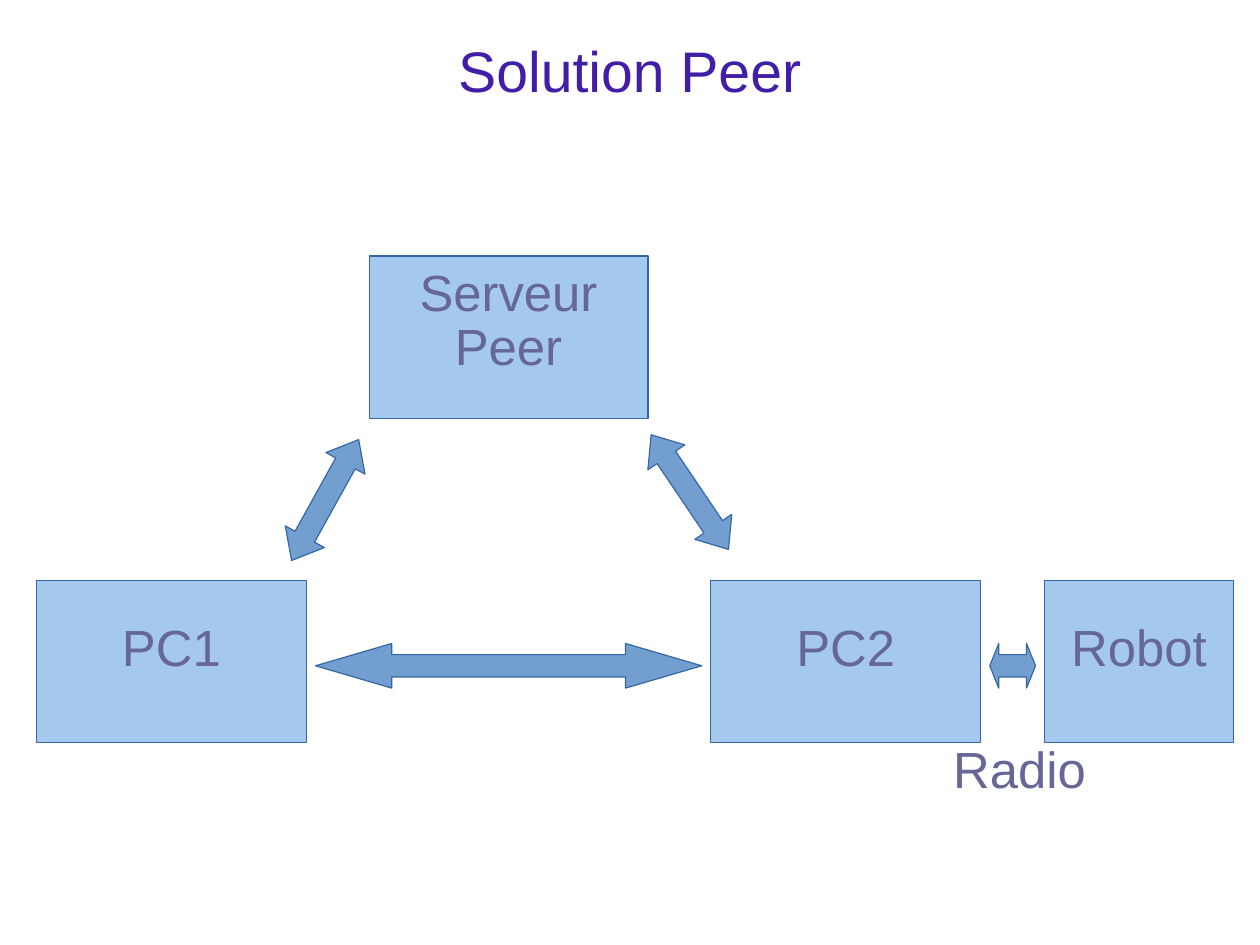
from pptx import Presentation
from pptx.dml.color import RGBColor
from pptx.enum.shapes import MSO_SHAPE
from pptx.enum.text import MSO_ANCHOR, MSO_AUTO_SIZE, PP_ALIGN
from pptx.util import Cm, Inches, Pt

TITLE_COLOR = RGBColor(0x42, 0x1E, 0xA8)
LABEL_COLOR = RGBColor(0x66, 0x66, 0x99)
NODE_FILL = RGBColor(0xA4, 0xC8, 0xEE)
ARROW_FILL = RGBColor(0x72, 0x9F, 0xCF)
OUTLINE = RGBColor(0x34, 0x65, 0xA4)
RECTANGLE = MSO_SHAPE.RECTANGLE
DOUBLE_ARROW = MSO_SHAPE.LEFT_RIGHT_ARROW
CENTER, LEFT = PP_ALIGN.CENTER, PP_ALIGN.LEFT
MIDDLE, TOP = MSO_ANCHOR.MIDDLE, MSO_ANCHOR.TOP
NO_AUTOFIT = MSO_AUTO_SIZE.NONE
TITLE_ONLY = 5

NODE_HEIGHT = 1.42
ARROW_HEIGHT = 0.39
ARROW_GAP = 0.08


def write_lines(frame, lines, size, color, align=CENTER, anchor=MIDDLE):
    """Fill a text frame with one paragraph per line, the first one tight."""
    frame.auto_size = NO_AUTOFIT
    frame.vertical_anchor = anchor
    for index, line in enumerate(lines):
        para = frame.paragraphs[0] if index == 0 else frame.add_paragraph()
        para.alignment = align
        para.line_spacing = 1.0 if index else 0.25
        span = para.add_run()
        span.text = line
        span.font.name = "Arial"
        span.font.size = Pt(size)
        span.font.color.rgb = color


def add_outlined(page, kind, box, fill):
    """Add a flat preset shape with the common outline."""
    shape = page.shapes.add_shape(kind, *map(Inches, box))
    shape.shadow.inherit = False
    shape.fill.solid()
    shape.fill.fore_color.rgb = fill
    shape.line.color.rgb = OUTLINE
    shape.line.width = Pt(0.75)
    return shape


def add_node(page, box, lines):
    """Add a labelled machine of the network."""
    frame = add_outlined(page, RECTANGLE, box, NODE_FILL).text_frame
    frame.word_wrap = False
    write_lines(frame, lines, 32, LABEL_COLOR)


def add_arrow(page, left, top, width, head, rotation=0):
    """Add a double arrow whose head length is relative to its height."""
    box = (left, top, width, ARROW_HEIGHT)
    arrow = add_outlined(page, DOUBLE_ARROW, box, ARROW_FILL)
    arrow.adjustments[0] = 0.5
    arrow.adjustments[1] = head
    arrow.rotation = rotation


def add_title(page, box):
    """Place the slide title in the given box."""
    title = page.shapes.title
    title.left, title.top, title.width, title.height = map(Inches, box)
    frame = title.text_frame
    frame.margin_left = frame.margin_right = 0
    frame.margin_top = frame.margin_bottom = 0
    frame.word_wrap = True
    write_lines(frame, ["Solution Peer"], 36, TITLE_COLOR)


def add_machines(page, box):
    """Draw the row of machines, the arrows between them and the link label."""
    left, top = box
    machines = [("PC1", 0, 2.36), ("PC2", 5.9, 2.36), ("Robot", 8.82, 1.65)]
    for name, offset, node_width in reversed(machines):
        add_node(page, (left + offset, top, node_width, NODE_HEIGHT), [name])

    for start, end, head in zip(machines, machines[1:], (1.71, 0.2)):
        arrow_left = start[1] + start[2] + ARROW_GAP
        arrow_width = end[1] - ARROW_GAP - arrow_left
        add_arrow(page, left + arrow_left, top + 0.55, arrow_width, head)

    label_box = (left + 7.92, top + 1.66, 1.29, 0.23)
    label = page.shapes.add_textbox(*map(Inches, label_box))
    label.text_frame.word_wrap = False
    write_lines(label.text_frame, ["Radio"], 32, LABEL_COLOR, LEFT, TOP)


def add_server(page, box):
    """Draw the server and the slanted arrows that lead down from it."""
    left, top, width = box
    add_node(page, (left, top, width, NODE_HEIGHT), ["Serveur", "Peer"])
    add_arrow(page, left - 0.99, top + 1.94, 1.21, 0.61, 299)
    add_arrow(page, left + 2.2, top + 1.87, 1.21, 0.61, 236)


def main():
    """Build the slide and save the deck."""
    deck = Presentation()
    deck.slide_width, deck.slide_height = Cm(28), Cm(21)
    page = deck.slides.add_slide(deck.slide_layouts[TITLE_ONLY])
    add_title(page, (0.55, 0.25, 9.92, 1.03))
    add_machines(page, (0.32, 5.08))
    add_server(page, (3.23, 2.24, 2.44))
    deck.save("out.pptx")


if __name__ == "__main__":
    main()
